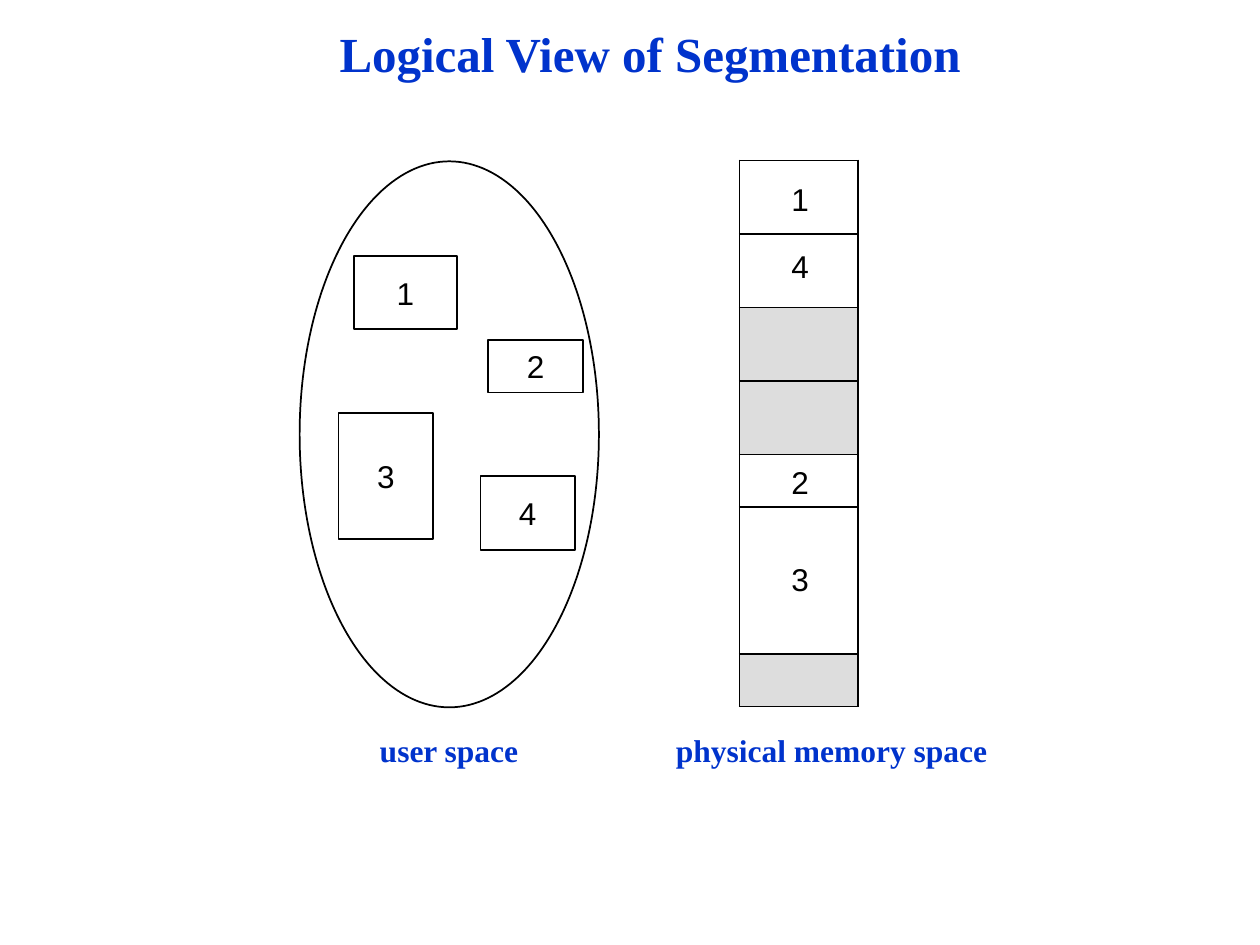
from lxml.etree import SubElement
from pptx import Presentation
from pptx.dml.color import RGBColor
from pptx.enum.shapes import MSO_SHAPE
from pptx.enum.text import MSO_ANCHOR, PP_ALIGN
from pptx.oxml.ns import qn
from pptx.util import Pt

COLORS = {"heading": "0033CC", "ink": "000000", "free": "DDDDDD"}

# Segments in user space: label, left, top, width, height
SEGMENTS = [
    ("1", 202.4, 146.2, 58.6, 42),
    ("2", 279, 194.4, 54, 30),
    ("3", 193.5, 236.2, 54, 72),
    ("4", 274.5, 272.2, 54, 42),
]
# Physical memory: label (empty when free), height, space above the label
MEMORY = [
    ("1", 42, 12.8),
    ("4", 42, 9.2),
    ("", 42, 0),
    ("", 42, 0),
    ("2", 30, 6.5),
    ("3", 84, 32),
    ("", 30, 0),
]


def color(name):
    return RGBColor.from_string(COLORS[name])


def write(frame, text, font="Arial", size=18, fill="ink", bold=False,
          align=PP_ALIGN.CENTER):
    paragraph = frame.paragraphs[0]
    paragraph.alignment = align
    run = paragraph.add_run()
    run.text = text
    run.font.name = font
    run.font.size = Pt(size)
    run.font.bold = bold
    run.font.color.rgb = color(fill)


def set_margins(target, left=0, top=0):
    target.margin_left, target.margin_top = Pt(left), Pt(top)
    target.margin_right = target.margin_bottom = Pt(0)


def add_heading(slide, text, left, top, width, height, size=18):
    frame = slide.shapes.add_textbox(
        Pt(left), Pt(top), Pt(width), Pt(height)).text_frame
    frame.word_wrap = False
    set_margins(frame, left=1, top=1)
    write(frame, text, font="Times New Roman", size=size, fill="heading",
          bold=True, align=PP_ALIGN.LEFT)


def add_outline(slide, kind, left, top, width, height, label=""):
    shape = slide.shapes.add_shape(
        kind, Pt(left), Pt(top), Pt(width), Pt(height))
    shape.shadow.inherit = False
    shape.fill.background()
    shape.line.color.rgb = color("ink")
    shape.line.width = Pt(1)
    if label:
        frame = shape.text_frame
        frame.vertical_anchor = MSO_ANCHOR.MIDDLE
        set_margins(frame)
        write(frame, label)


def add_borders(cell):
    properties = cell._tc.get_or_add_tcPr()
    for index, side in enumerate(("lnL", "lnR", "lnT", "lnB")):
        line = properties.makeelement(qn(f"a:{side}"), {"w": str(Pt(1))})
        properties.insert(index, line)
        fill = SubElement(line, qn("a:solidFill"))
        SubElement(fill, qn("a:srgbClr"), val=COLORS["ink"])


def add_memory(slide, left, top, width):
    total = sum(height for _, height, _ in MEMORY)
    table = slide.shapes.add_table(
        len(MEMORY), 1, Pt(left), Pt(top), Pt(width), Pt(total)).table
    table.first_row = table.horz_banding = False
    for index, (label, height, space) in enumerate(MEMORY):
        table.rows[index].height = Pt(height)
        cell = table.cell(index, 0)
        set_margins(cell, left=1.5, top=space)
        if label:
            cell.fill.background()
            write(cell.text_frame, label)
        else:
            cell.fill.solid()
            cell.fill.fore_color.rgb = color("free")
        add_borders(cell)


def main():
    presentation = Presentation()
    presentation.slide_width, presentation.slide_height = Pt(720), Pt(540)
    slide = presentation.slides.add_slide(presentation.slide_layouts[6])

    # Title
    add_heading(slide, "Logical View of Segmentation",
                193, 12.5, 358.6, 36, size=28)

    # User space
    add_outline(slide, MSO_SHAPE.OVAL, 171.2, 92.2, 171, 312)
    for label, *box in SEGMENTS:
        add_outline(slide, MSO_SHAPE.RECTANGLE, *box, label=label)
    add_heading(slide, "user space", 216, 416.5, 80.6, 23.8)

    # Physical memory
    add_memory(slide, 422.6, 91.7, 67.7)
    add_heading(slide, "physical memory space", 385.2, 416.5, 179.3, 23.8)

    presentation.save("out.pptx")


if __name__ == "__main__":
    main()
